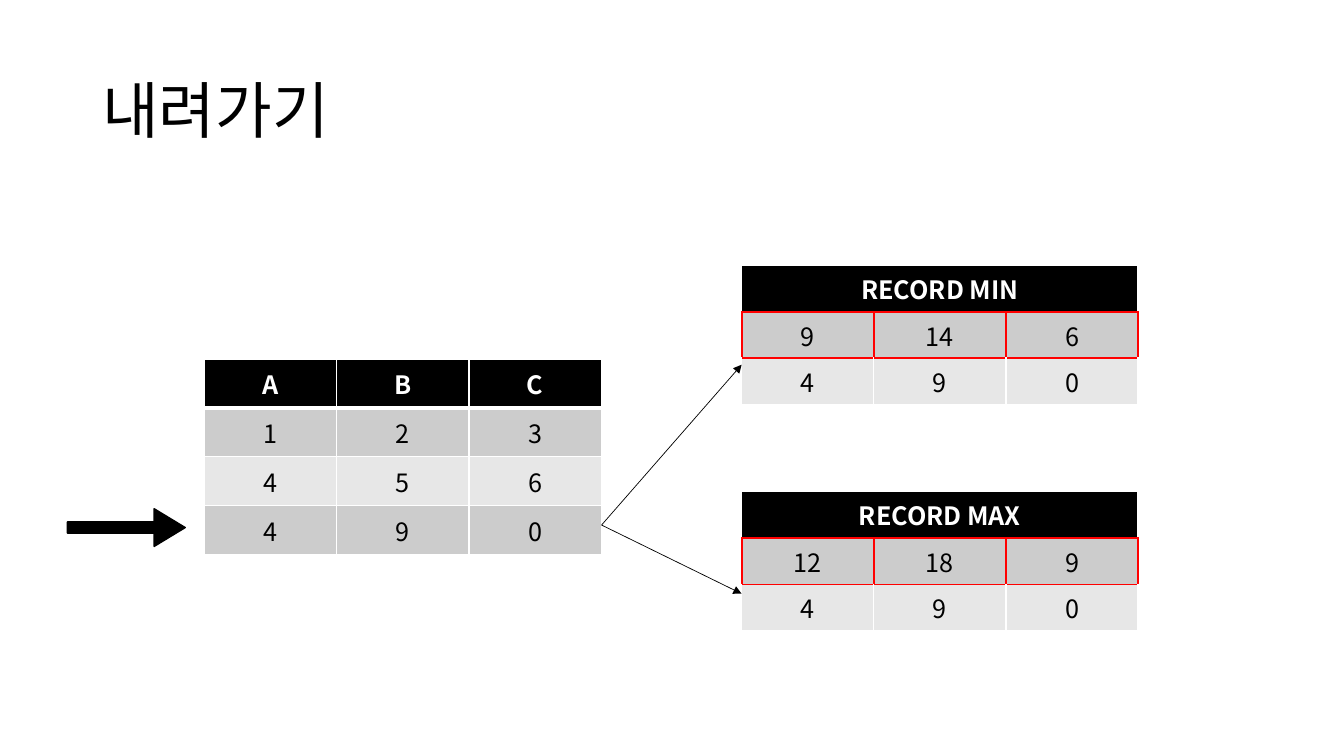
from pptx import Presentation
from pptx.dml.color import RGBColor
from pptx.enum.shapes import MSO_CONNECTOR as LINE, MSO_SHAPE as SHAPE
from pptx.enum.text import MSO_ANCHOR as ANCHOR, PP_ALIGN as ALIGN
from pptx.oxml.ns import qn
from pptx.util import Cm, Pt
from lxml.etree import SubElement

FONT = "Noto Sans CJK KR"
BLACK, WHITE, RED = "000000", "FFFFFF", "FF0000"
BANDS = ["CCCCCC", "E7E7E7"]
COL_W = 3.33


def rgb(color):
    return RGBColor.from_string(color)


def format_text(tf, size, color, bold=False, align=ALIGN.LEFT):
    tf.vertical_anchor = ANCHOR.MIDDLE
    p = tf.paragraphs[0]
    p.alignment = align
    for r in p.runs:
        r.font.name = FONT
        r.font.size = Pt(size)
        r.font.bold = bold
        r.font.color.rgb = rgb(color)
        SubElement(r.font._element, qn("a:ea"), typeface=FONT)


def add_title(s, text):
    tf = s.shapes.add_textbox(Cm(2.33), Cm(1.01), Cm(29.21), Cm(3.68)).text_frame
    tf.word_wrap = True
    tf.text = text
    tf.paragraphs[0].line_spacing = 0.9
    format_text(tf, 44, BLACK)


def set_borders(cell, sides):
    tc_pr = cell._tc.get_or_add_tcPr()
    for i, side in enumerate("LRTB"):
        color, width = sides.get(side, (WHITE, 1))
        ln = SubElement(tc_pr, qn(f"a:ln{side}"), w=str(Pt(width)))
        fill = SubElement(ln, qn("a:solidFill"))
        SubElement(fill, qn("a:srgbClr"), val=color)
        tc_pr.insert(i, ln)


def add_table(s, left, top, row_h, rows, borders):
    cols = len(rows[-1])
    table = s.shapes.add_table(len(rows), cols, Cm(left), Cm(top),
                               Cm(COL_W * cols), Cm(row_h * len(rows))).table
    table.horz_banding = False
    for col in table.columns:
        col.width = Cm(COL_W)
    for i, row in enumerate(rows):
        table.rows[i].height = Cm(row_h)
        for j in range(cols):
            cell = table.cell(i, j)
            cell.fill.solid()
            cell.fill.fore_color.rgb = rgb(BANDS[(i - 1) % 2] if i else BLACK)
            set_borders(cell, borders.get(i, {}))
        if len(row) == 1:
            table.cell(i, 0).merge(table.cell(i, cols - 1))
        for j, value in enumerate(row):
            tf = table.cell(i, j).text_frame
            tf.text = value
            format_text(tf, 18, BLACK if i else WHITE, i == 0, ALIGN.CENTER)
            table.cell(i, j).vertical_anchor = ANCHOR.MIDDLE


def add_input(s):
    rule = (WHITE, 3)
    rows = [list("ABC"), list("123"), list("456"), list("490")]
    add_table(s, 5.16, 9.05, 1.23, rows, {0: {"B": rule}, 1: {"T": rule}})


def add_record(s, top, title, values):
    red = (RED, 1.5)
    borders = {0: {"B": red}, 1: dict.fromkeys("LRTB", red), 2: {"T": red}}
    add_table(s, 18.69, top, 1.17, [[title], values, list("490")], borders)


def add_row_marker(s):
    arrow = s.shapes.add_shape(SHAPE.RIGHT_ARROW, Cm(1.7), Cm(12.82), Cm(2.97), Cm(0.95))
    arrow.shadow.inherit = False
    arrow.adjustments[0] = 0.3
    arrow.adjustments[1] = 0.825
    arrow.fill.solid()
    arrow.fill.fore_color.rgb = rgb(BLACK)
    arrow.line.color.rgb = rgb(BLACK)
    arrow.line.width = Pt(1)


def add_arrow(s, x1, y1, x2, y2):
    line = s.shapes.add_connector(LINE.STRAIGHT, Cm(x1), Cm(y1), Cm(x2), Cm(y2))
    line.line.color.rgb = rgb(BLACK)
    line.line.width = Pt(0.5)
    SubElement(line.line._get_or_add_ln(), qn("a:tailEnd"), type="triangle")
    SubElement(line._element.spPr, qn("a:effectLst"))


def main():
    prs = Presentation()
    prs.slide_width, prs.slide_height = Cm(33.87), Cm(19.05)
    s = prs.slides.add_slide(prs.slide_layouts[6])
    add_title(s, "내려가기")
    add_input(s)
    add_record(s, 6.69, "RECORD MIN", ["9", "14", "6"])
    add_record(s, 12.39, "RECORD MAX", ["12", "18", "9"])
    add_row_marker(s)
    for y in (9.19, 14.96):
        add_arrow(s, 15.16, 13.23, 18.69, y)
    prs.save("out.pptx")


if __name__ == "__main__":
    main()
